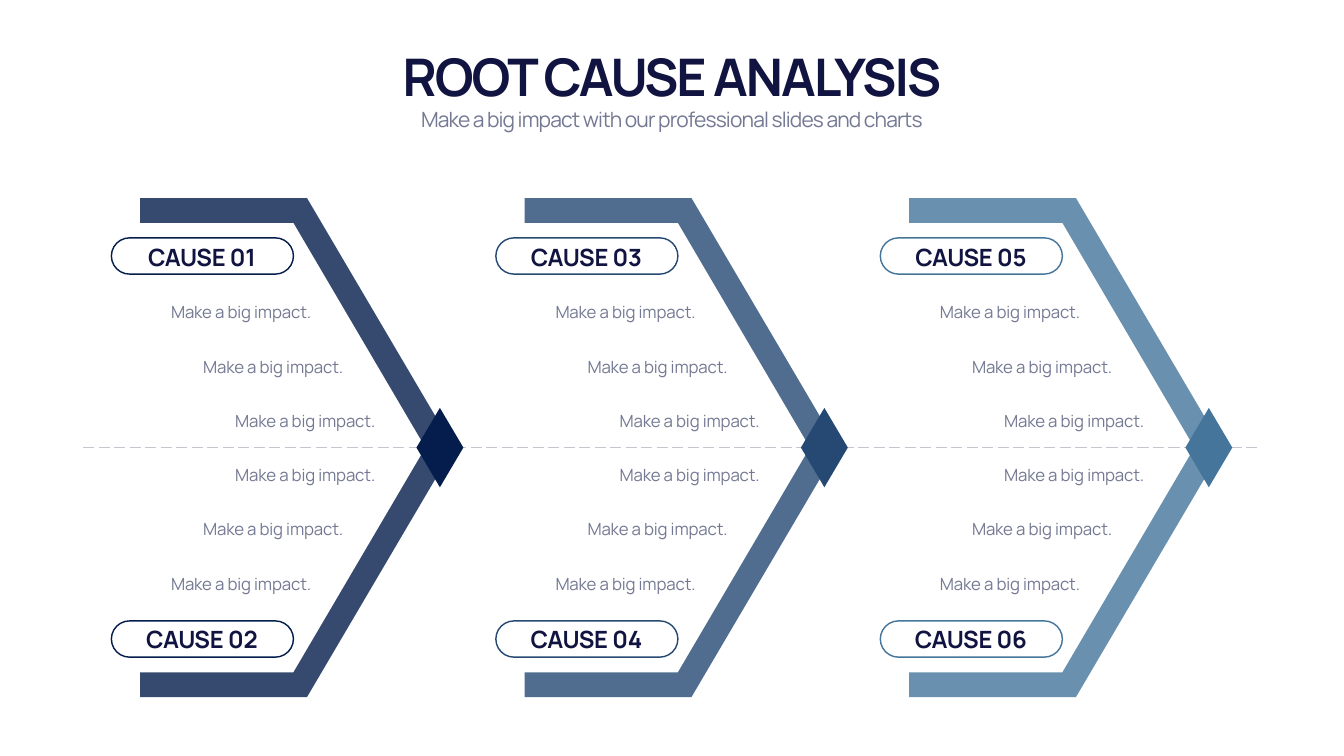
from dataclasses import dataclass

from lxml import etree
from pptx import Presentation
from pptx.dml.color import RGBColor
from pptx.enum.dml import MSO_LINE
from pptx.enum.shapes import MSO_CONNECTOR, MSO_SHAPE
from pptx.enum.text import MSO_ANCHOR, MSO_AUTO_SIZE, PP_ALIGN
from pptx.oxml.ns import qn
from pptx.util import Pt

TOP, MIDDLE, BOTTOM = MSO_ANCHOR.TOP, MSO_ANCHOR.MIDDLE, MSO_ANCHOR.BOTTOM
CENTER, RIGHT = PP_ALIGN.CENTER, PP_ALIGN.RIGHT
FIT_SHAPE = MSO_AUTO_SIZE.SHAPE_TO_FIT_TEXT
STRAIGHT, LONG_DASH = MSO_CONNECTOR.STRAIGHT, MSO_LINE.LONG_DASH
PILL = MSO_SHAPE.ROUNDED_RECTANGLE

FONT = "Manrope"
NAVY, GRAY, SPINE_GRAY = "111340", "747993", "C4C8CE"

# Layout, in points
SPINE_Y = 639.4
COLUMN_LEFT, COLUMN_PITCH = 159.1, 549.1
PILL_TOPS, LABEL_TOPS = (339.8, 887), (342.7, 889.2)
DETAIL_TOP, DETAIL_PITCH, DETAIL_INDENT = 421.9, 77.5, 45.8
DETAIL_STEPS = (0, 1, 2, 2, 1, 0)
DETAIL = "Make a big impact."


@dataclass
class TextStyle:
    size: float
    color: str
    spacing: float
    align: PP_ALIGN
    anchor: MSO_ANCHOR
    bold: bool = False
    line_height: float | None = None


@dataclass
class CausePair:
    labels: tuple[str, str]
    color: str


TITLE = TextStyle(74, NAVY, -2.9, CENTER, BOTTOM, bold=True)
SUBTITLE = TextStyle(30, GRAY, -1.2, CENTER, TOP)
CAUSE_LABEL = TextStyle(34, NAVY, -0.3, CENTER, MIDDLE, bold=True)
CAUSE_DETAIL = TextStyle(24, GRAY, -0.2, RIGHT, MIDDLE, line_height=36)

CAUSE_PAIRS = [
    CausePair(("CAUSE 01", "CAUSE 02"), "041D4C"),
    CausePair(("CAUSE 03", "CAUSE 04"), "254973"),
    CausePair(("CAUSE 05", "CAUSE 06"), "45759B"),
]


def paint(color_format, color: str) -> None:
    """Apply a hex colour to a fill, line or font."""
    color_format.rgb = RGBColor.from_string(color)


def write(box, text: str, style: TextStyle) -> None:
    frame = box.text_frame
    frame.text = text
    frame.word_wrap = True
    frame.auto_size = FIT_SHAPE
    frame.vertical_anchor = style.anchor
    paragraph = frame.paragraphs[0]
    paragraph.alignment = style.align
    paragraph.space_before = Pt(0)
    if style.line_height:
        paragraph.line_spacing = Pt(style.line_height)
    run = paragraph.runs[0]
    run.font.name = FONT
    run.font.size = Pt(style.size)
    run.font.bold = style.bold
    paint(run.font.color, style.color)
    run.font._element.set("spc", str(round(style.spacing * 100)))


def place(box, left: float, top: float, width: float, height: float) -> None:
    box.left, box.top, box.width, box.height = map(Pt, (left, top, width, height))


def add_label(slide, text: str, style: TextStyle, left: float, top: float,
              width: float, height: float) -> None:
    box = slide.shapes.add_textbox(Pt(left), Pt(top), Pt(width), Pt(height))
    write(box, text, style)
    # Writing text may resize the box
    place(box, left, top, width, height)


def add_spine(slide) -> None:
    spine = slide.shapes.add_connector(
        STRAIGHT, Pt(118.8), Pt(SPINE_Y), Pt(1800.7), Pt(SPINE_Y))
    paint(spine.line.color, SPINE_GRAY)
    spine.line.width = Pt(2)
    spine.line.dash_style = LONG_DASH
    etree.SubElement(spine._element.spPr, qn("a:effectLst"))


def add_pill(slide, left: float, top: float, color: str) -> None:
    pill = slide.shapes.add_shape(PILL, Pt(left), Pt(top), Pt(260), Pt(51.8))
    pill.adjustments[0] = 0.5
    pill.shadow.inherit = False
    pill.fill.background()
    paint(pill.line.color, color)
    pill.line.width = Pt(2)


def add_outline(slide, points: list[tuple[float, float]], color: str,
                opacity: int = 100) -> None:
    (x, y), *rest = [(Pt(px), Pt(py)) for px, py in points]
    builder = slide.shapes.build_freeform(x, y)
    builder.add_line_segments(rest)
    outline = builder.convert_to_shape()
    outline.shadow.inherit = False
    outline.fill.solid()
    paint(outline.fill.fore_color, color)
    outline.line.fill.background()
    if opacity < 100:
        srgb = outline._element.spPr.find(".//" + qn("a:srgbClr"))
        etree.SubElement(srgb, qn("a:alpha"), val=str(opacity * 1000))


def add_diamond(slide, left: float, color: str) -> None:
    x, half_width, half_height = left + 469.2, 33.5, 56.7
    add_outline(slide, [(x, SPINE_Y - half_height), (x - half_width, SPINE_Y),
                        (x, SPINE_Y + half_height), (x + half_width, SPINE_Y)],
                color)


def add_chevron(slide, left: float, color: str) -> None:
    # Offsets from the column's left edge and from the spine
    upper = [(483.6, 9.4), (279.4, 356.4), (41, 356.4),
             (41, 321.1), (260, 321.1), (448.6, 0)]
    lower = [(x, -y) for x, y in reversed(upper[:-1])]
    edge = [(486.7, 0)] + upper + lower
    add_outline(slide, [(left + x, SPINE_Y - y) for x, y in edge], color, 80)


def add_cause_pair(slide, pair: CausePair, left: float) -> None:
    for top in PILL_TOPS:
        add_pill(slide, left, top, pair.color)
    add_diamond(slide, left, pair.color)
    add_chevron(slide, left, pair.color)
    for label, top in zip(pair.labels, LABEL_TOPS):
        add_label(slide, label, CAUSE_LABEL, left + 12.4, top, 234, 48.2)
    for row, step in enumerate(DETAIL_STEPS):
        add_label(slide, DETAIL, CAUSE_DETAIL, left + 12.3 + step * DETAIL_INDENT,
                  DETAIL_TOP + row * DETAIL_PITCH, 280, 41)


def main() -> None:
    deck = Presentation()
    deck.slide_width, deck.slide_height = Pt(1919.5), Pt(1080)
    slide = deck.slides.add_slide(deck.slide_layouts[0])

    # Heading
    title, subtitle = slide.placeholders
    write(title, "ROOT CAUSE ANALYSIS", TITLE)
    place(title, 119.5, 59, 1679.8, 97.2)
    write(subtitle, "Make a big impact with our professional slides and charts",
          SUBTITLE)
    place(subtitle, 119.5, 149, 1679.8, 43.9)

    # Fishbone
    add_spine(slide)
    for column, pair in enumerate(CAUSE_PAIRS):
        add_cause_pair(slide, pair, COLUMN_LEFT + column * COLUMN_PITCH)

    deck.save("out.pptx")


if __name__ == "__main__":
    main()
